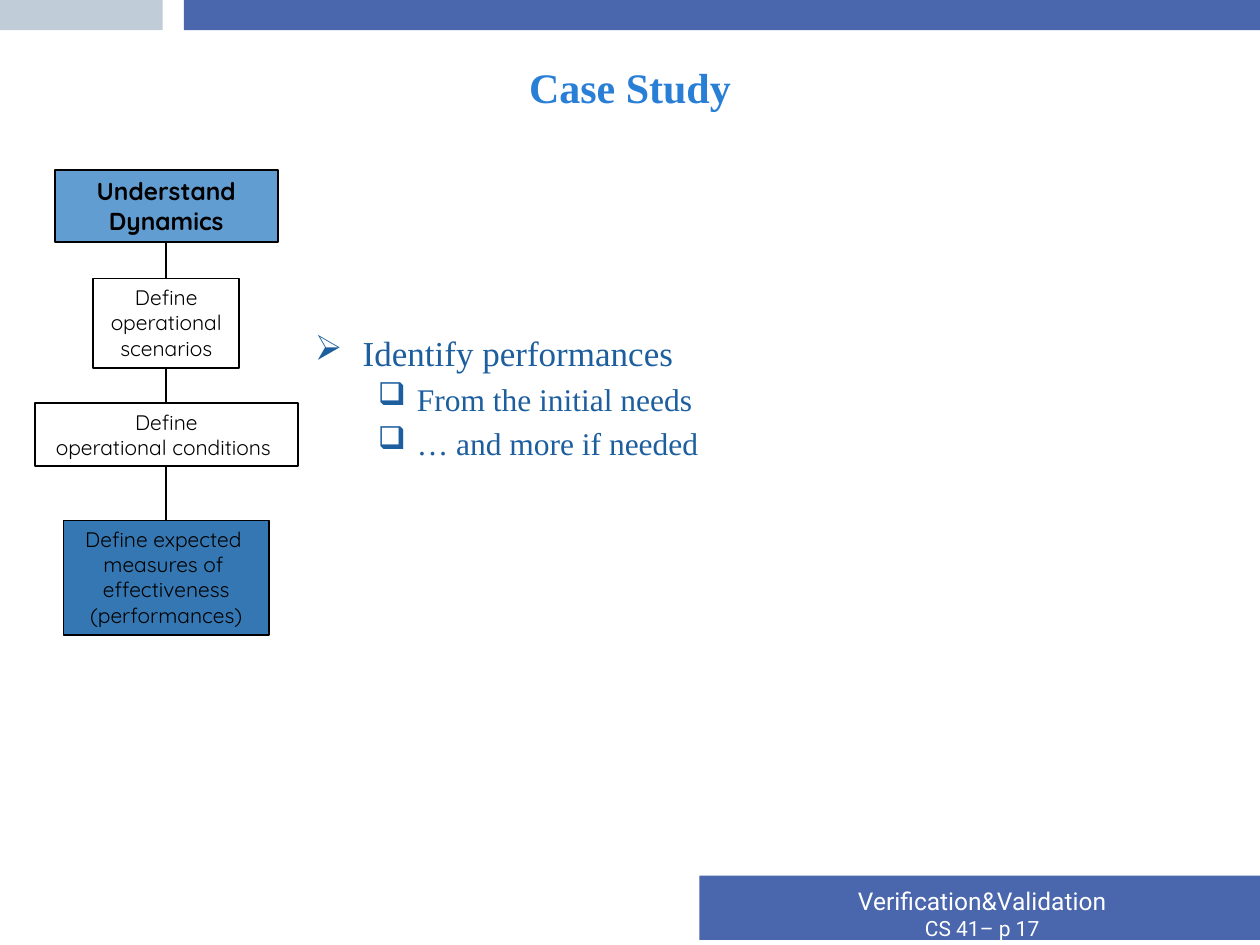
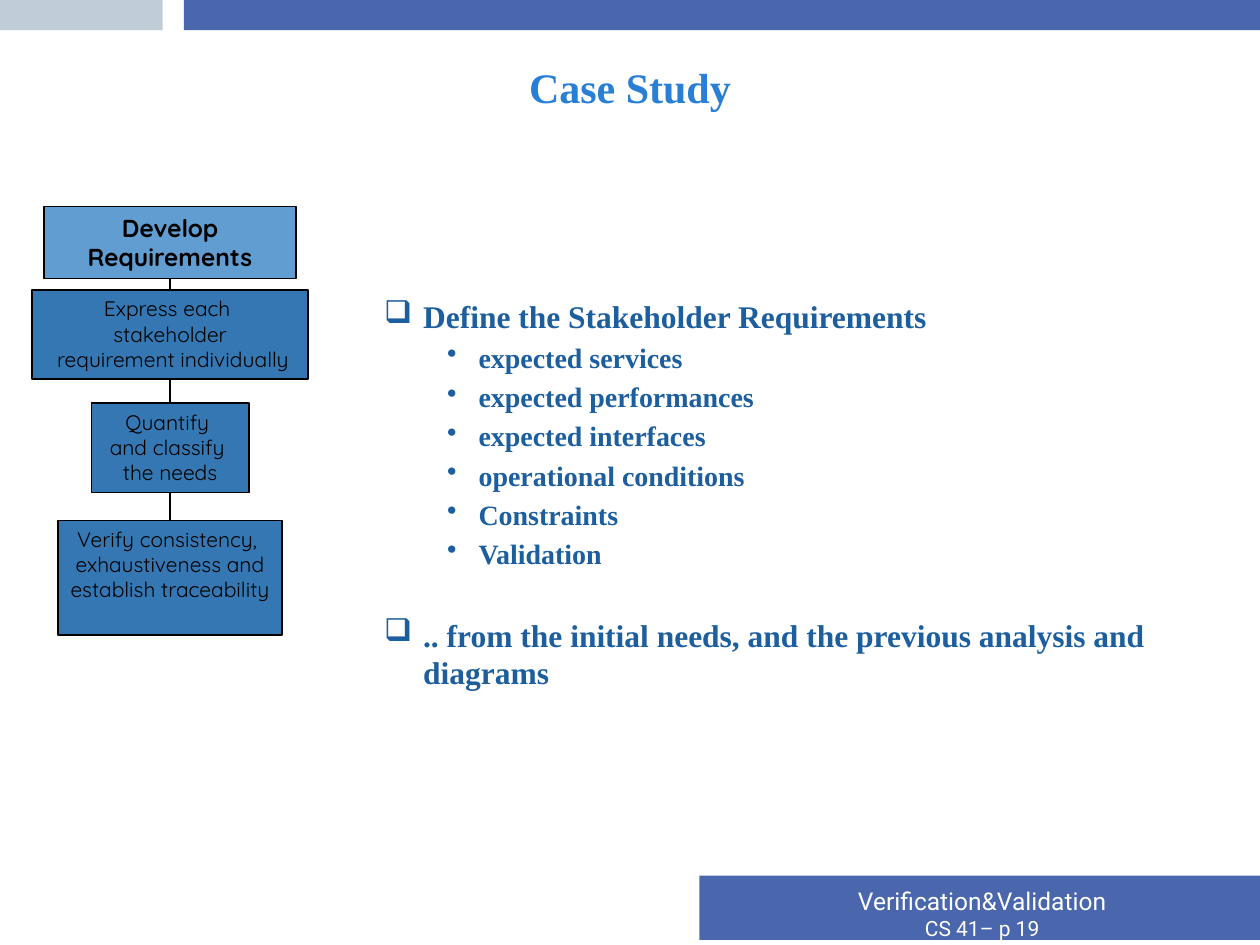
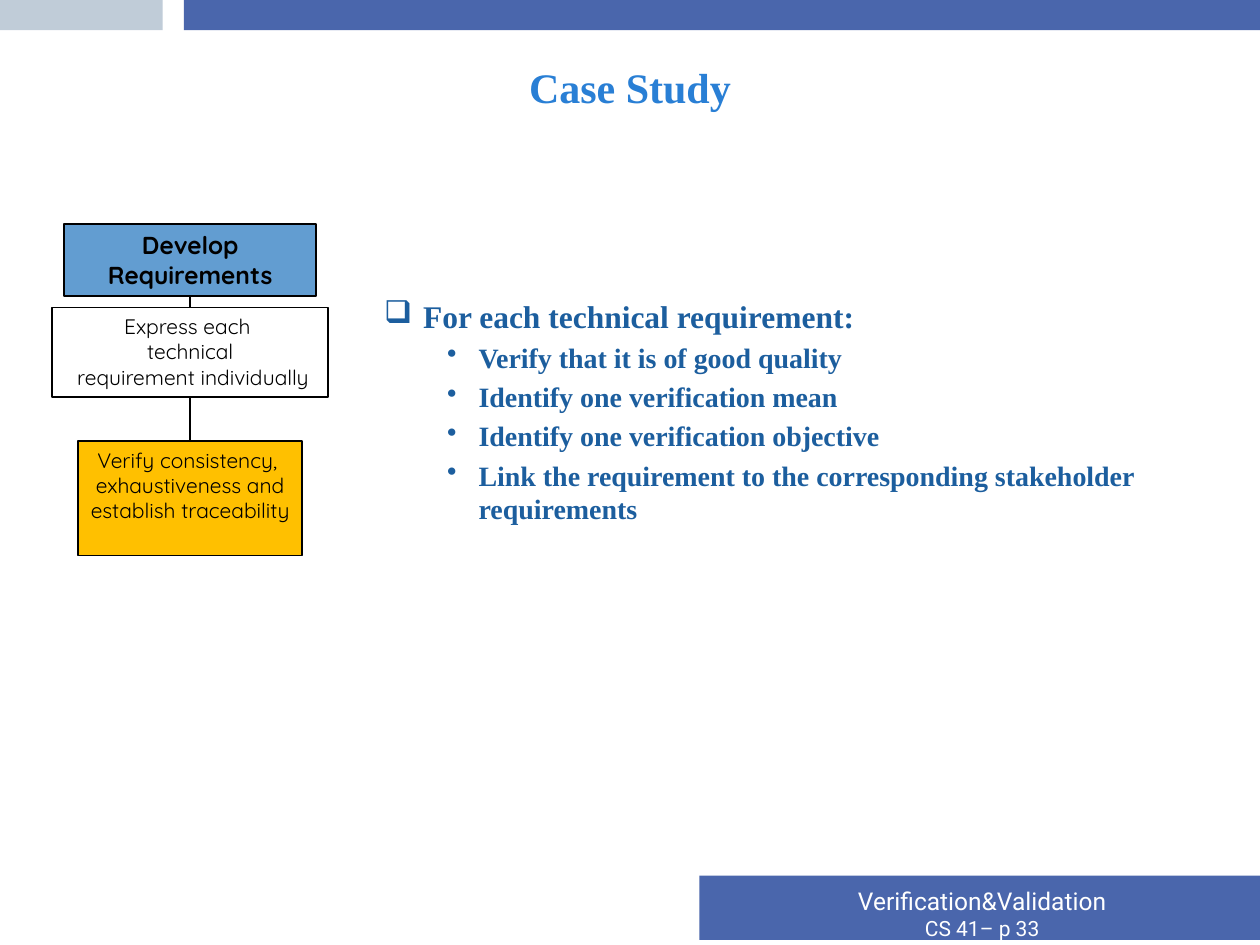
from dataclasses import dataclass
from itertools import pairwise
from typing import Optional

from lxml.etree import SubElement
from pptx import Presentation
from pptx.dml.color import RGBColor
from pptx.enum.shapes import MSO_CONNECTOR, MSO_SHAPE
from pptx.enum.text import MSO_ANCHOR, MSO_AUTO_SIZE, PP_ALIGN
from pptx.oxml.ns import qn
from pptx.slide import Slide
from pptx.text.text import TextFrame
from pptx.util import Inches, Pt

BAND_BLUE = RGBColor(0x4A, 0x66, 0xAC)
BAND_GREY = RGBColor(0xC0, 0xCC, 0xD8)
TITLE_BLUE = RGBColor(0x29, 0x7F, 0xD5)
BODY_BLUE = RGBColor(0x1C, 0x5E, 0x9E)
HEADER_BLUE = RGBColor(0x62, 0x9D, 0xD1)
ACTIVE_BLUE = RGBColor(0x34, 0x77, 0xB2)
ACTIVE_GOLD = RGBColor(0xFF, 0xC0, 0x00)
WHITE = RGBColor(0xFF, 0xFF, 0xFF)
BLACK = RGBColor(0x00, 0x00, 0x00)

SERIF = "Times New Roman"
BOX_FONT = "Quicksand"
FOOTER_FONT = "Roboto"


@dataclass(frozen=True)
class Level:
    bullet: str
    size: float
    margin: float
    hanging: float


ARROW = Level("➢", 20, 0.38, 0.38)
SQUARE = Level("❑", 18, 0.81, 0.31)
DOT = Level("•", 16, 1.25, 0.25)


@dataclass(frozen=True)
class Item:
    text: str
    level: Level
    extra_space: float = 0


@dataclass(frozen=True)
class Step:
    lines: tuple[str, ...]
    top: float
    width: float
    height: float
    fill: RGBColor
    wrap: bool = True
    size: float = 12
    bold: bool = False


@dataclass(frozen=True)
class CaseSlide:
    page: int
    chain_center: float
    steps: tuple[Step, ...]
    body_left: float
    body_top: float
    items: tuple[Item, ...]
    body_bold: bool = True


def header_step(text: str, top: float, width: float) -> Step:
    return Step((text,), top, width, 0.57, HEADER_BLUE, size=14, bold=True)


def verify_step(top: float, fill: RGBColor) -> Step:
    lines = ("Verify consistency, ", "exhaustiveness and establish traceability ")
    return Step(lines, top, 1.78, 0.91, fill)


def dots(*texts: str) -> tuple[Item, ...]:
    return tuple(Item(text, DOT) for text in texts)


CASE_SLIDES = (
    CaseSlide(
        17, 1.32,
        (
            header_step("Understand Dynamics", 1.35, 1.77),
            Step(("Define", "operational", "scenarios"), 2.21, 1.16, 0.71, WHITE, wrap=False),
            Step(("Define", "operational conditions "), 3.2, 2.09, 0.5, WHITE, wrap=False),
            Step(("Define expected ", "measures of ", "effectiveness", "(performances)"),
                 4.13, 1.63, 0.91, ACTIVE_BLUE, wrap=False),
        ),
        2.4, 2.58,
        (
            Item("Identify performances", ARROW),
            Item("From the initial needs", SQUARE),
            Item("… and more if needed", SQUARE),
        ),
        body_bold=False,
    ),
    CaseSlide(
        19, 1.35,
        (
            header_step("Develop Requirements", 1.64, 2),
            Step(("Express each ", "stakeholder", " requirement individually"),
                 2.3, 2.19, 0.71, ACTIVE_BLUE),
            Step(("Quantify ", "and classify ", "the needs"), 3.2, 1.25, 0.71, ACTIVE_BLUE),
            verify_step(4.13, ACTIVE_BLUE),
        ),
        2.45, 2.31,
        (
            Item("Define the Stakeholder Requirements", SQUARE),
            *dots("expected services", "expected performances", "expected interfaces",
                  "operational conditions", "Constraints", "Validation"),
            Item(".. from the initial needs, and the previous analysis and diagrams",
                 SQUARE, extra_space=22.4),
        ),
    ),
    CaseSlide(
        33, 1.51,
        (
            header_step("Develop Requirements", 1.78, 2),
            Step(("Express each ", "technical", " requirement individually"),
                 2.44, 2.19, 0.71, WHITE, wrap=False),
            verify_step(3.5, ACTIVE_GOLD),
        ),
        2.45, 2.31,
        (
            Item("For each technical requirement:", SQUARE),
            *dots("Verify that it is of good quality", "Identify one verification mean",
                  "Identify one verification objective",
                  "Link the requirement to the corresponding stakeholder requirements"),
        ),
    ),
)


def write(frame: TextFrame, text: str, *, size: float, font: str, color: RGBColor,
          bold: bool = False, align: PP_ALIGN = PP_ALIGN.CENTER,
          level: Optional[Level] = None, extra_space: float = 0) -> None:
    paragraph = frame.paragraphs[0]
    is_first = not paragraph.runs
    if not is_first:
        paragraph = frame.add_paragraph()
    paragraph.alignment = align
    if level:
        paragraph.line_spacing = Pt(size * 1.2)
        if not is_first:
            paragraph.space_before = Pt(size * 0.2 + extra_space)
        properties = paragraph._p.get_or_add_pPr()
        properties.set("marL", str(Inches(level.margin)))
        properties.set("indent", str(-Inches(level.hanging)))
        SubElement(properties, qn("a:buChar")).set("char", level.bullet)
    run = paragraph.add_run()
    run.text = text
    run.font.size = Pt(size)
    run.font.name = font
    run.font.color.rgb = color
    run.font.bold = bold


def add_text_frame(slide: Slide, left: float, top: float,
                   width: float, height: float) -> TextFrame:
    box = slide.shapes.add_textbox(Inches(left), Inches(top), Inches(width), Inches(height))
    box.text_frame.word_wrap = True
    return box.text_frame


def add_rectangle(slide: Slide, left: float, top: float, width: float, height: float,
                  fill: RGBColor, outline: Optional[RGBColor] = None) -> TextFrame:
    shape = slide.shapes.add_shape(MSO_SHAPE.RECTANGLE, Inches(left), Inches(top),
                                   Inches(width), Inches(height))
    shape.shadow.inherit = False
    shape.fill.solid()
    shape.fill.fore_color.rgb = fill
    if outline is None:
        shape.line.fill.background()
    else:
        shape.line.color.rgb = outline
        shape.line.width = Pt(1)
    return shape.text_frame


def add_frame(slide: Slide, page: int) -> None:
    add_rectangle(slide, 1.46, 0, 8.54, 0.24, BAND_BLUE)
    add_rectangle(slide, 0, 0, 1.29, 0.24, BAND_GREY)
    add_rectangle(slide, 5.55, 6.95, 4.45, 0.51, BAND_BLUE)
    footer = add_text_frame(slide, 5.55, 6.98, 4.49, 0.54)
    write(footer, "Verification&Validation", size=14, font=FOOTER_FONT, color=WHITE)
    write(footer, f"CS 41– p {page}", size=12, font=FOOTER_FONT, color=WHITE)
    title = add_text_frame(slide, 0.5, 0.3, 9, 0.77)
    title.vertical_anchor = MSO_ANCHOR.MIDDLE
    write(title, "Case Study", size=24, font=SERIF, color=TITLE_BLUE, bold=True)


def add_step(slide: Slide, step: Step, center: float) -> None:
    frame = add_rectangle(slide, center - step.width / 2, step.top, step.width, step.height,
                          step.fill, BLACK)
    frame.word_wrap = step.wrap
    frame.auto_size = MSO_AUTO_SIZE.SHAPE_TO_FIT_TEXT
    frame.vertical_anchor = MSO_ANCHOR.TOP
    for line in step.lines:
        write(frame, line, size=step.size, font=BOX_FONT, color=BLACK, bold=step.bold)


def add_link(slide: Slide, center: float, start: float, end: float) -> None:
    connector = slide.shapes.add_connector(MSO_CONNECTOR.STRAIGHT, Inches(center),
                                           Inches(start), Inches(center), Inches(end))
    connector.line.color.rgb = BLACK
    connector.line.width = Pt(1)
    SubElement(connector._element.spPr, qn("a:effectLst"))


def add_chain(slide: Slide, steps: tuple[Step, ...], center: float) -> None:
    for step in steps:
        add_step(slide, step, center)
    for upper, lower in pairwise(steps):
        add_link(slide, center, upper.top + upper.height, lower.top)


def add_body(slide: Slide, case: CaseSlide) -> None:
    frame = add_text_frame(slide, case.body_left, case.body_top, 7.02, 4.2)
    for item in case.items:
        write(frame, item.text, size=item.level.size, font=SERIF, color=BODY_BLUE,
              bold=case.body_bold, align=PP_ALIGN.LEFT, level=item.level,
              extra_space=item.extra_space)


def main() -> None:
    presentation = Presentation()
    presentation.slide_width = Inches(10)
    presentation.slide_height = Inches(7.5)
    for case in CASE_SLIDES:
        slide = presentation.slides.add_slide(presentation.slide_layouts[6])
        add_frame(slide, case.page)
        add_body(slide, case)
        add_chain(slide, case.steps, case.chain_center)
    presentation.save("out.pptx")


if __name__ == "__main__":
    main()
